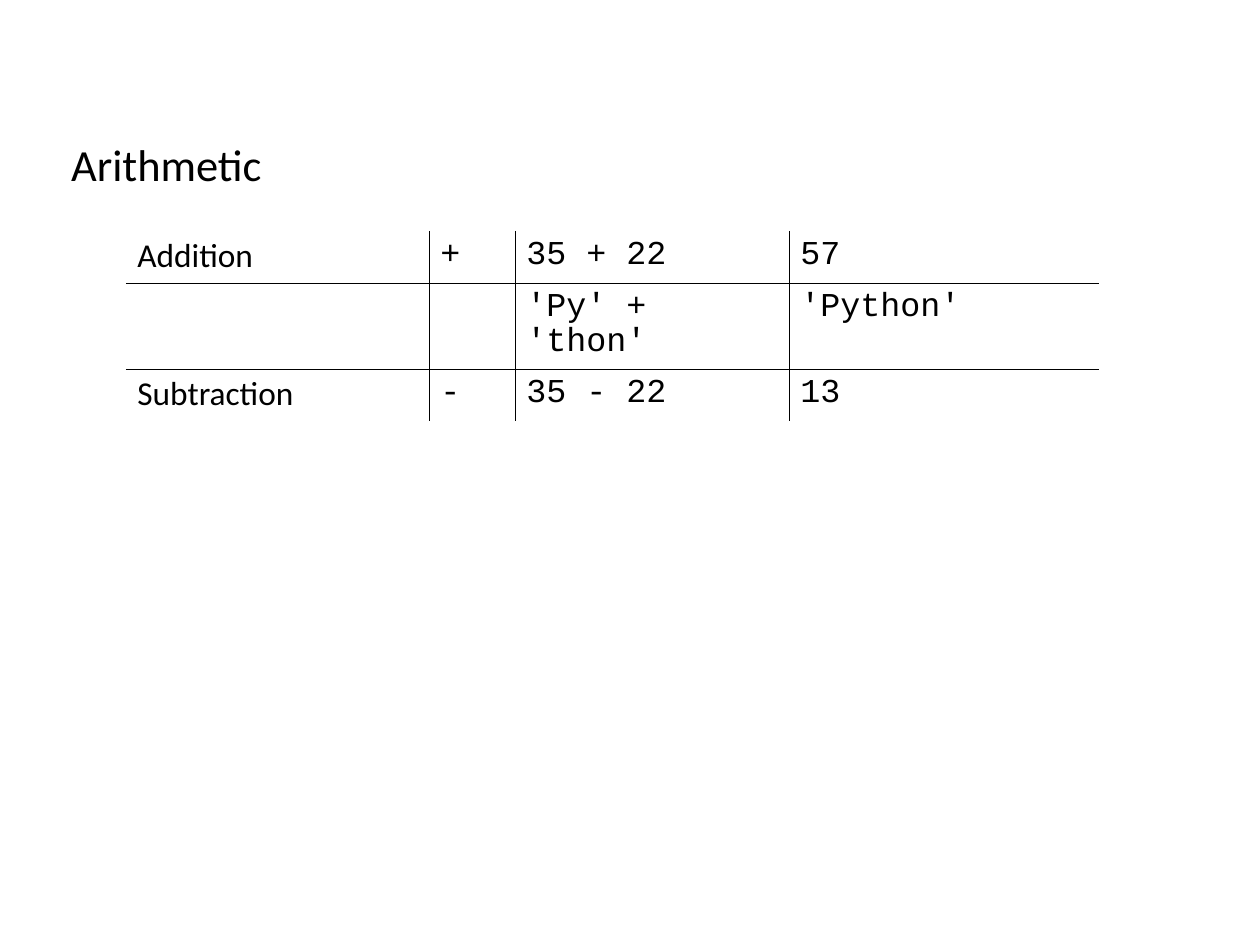
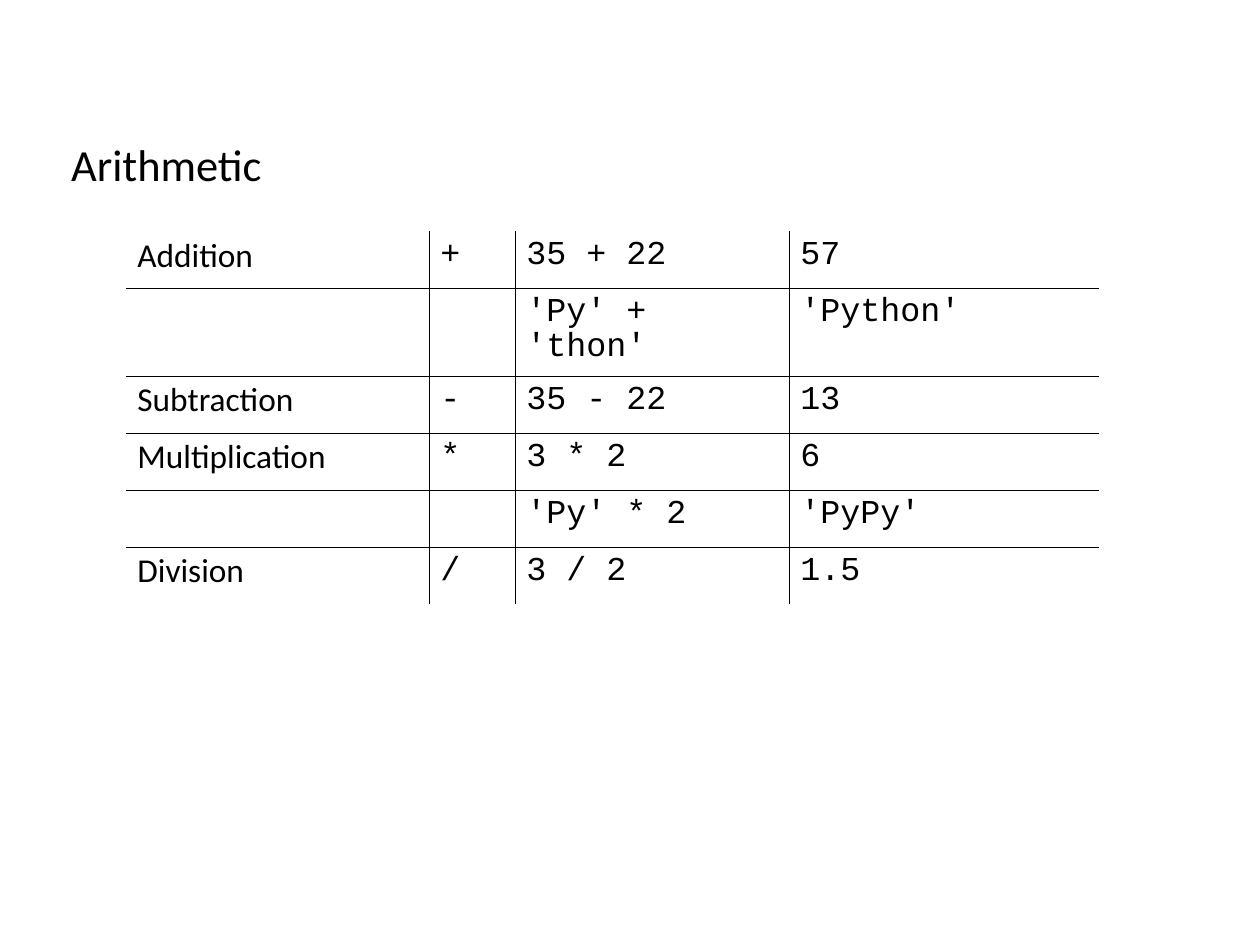
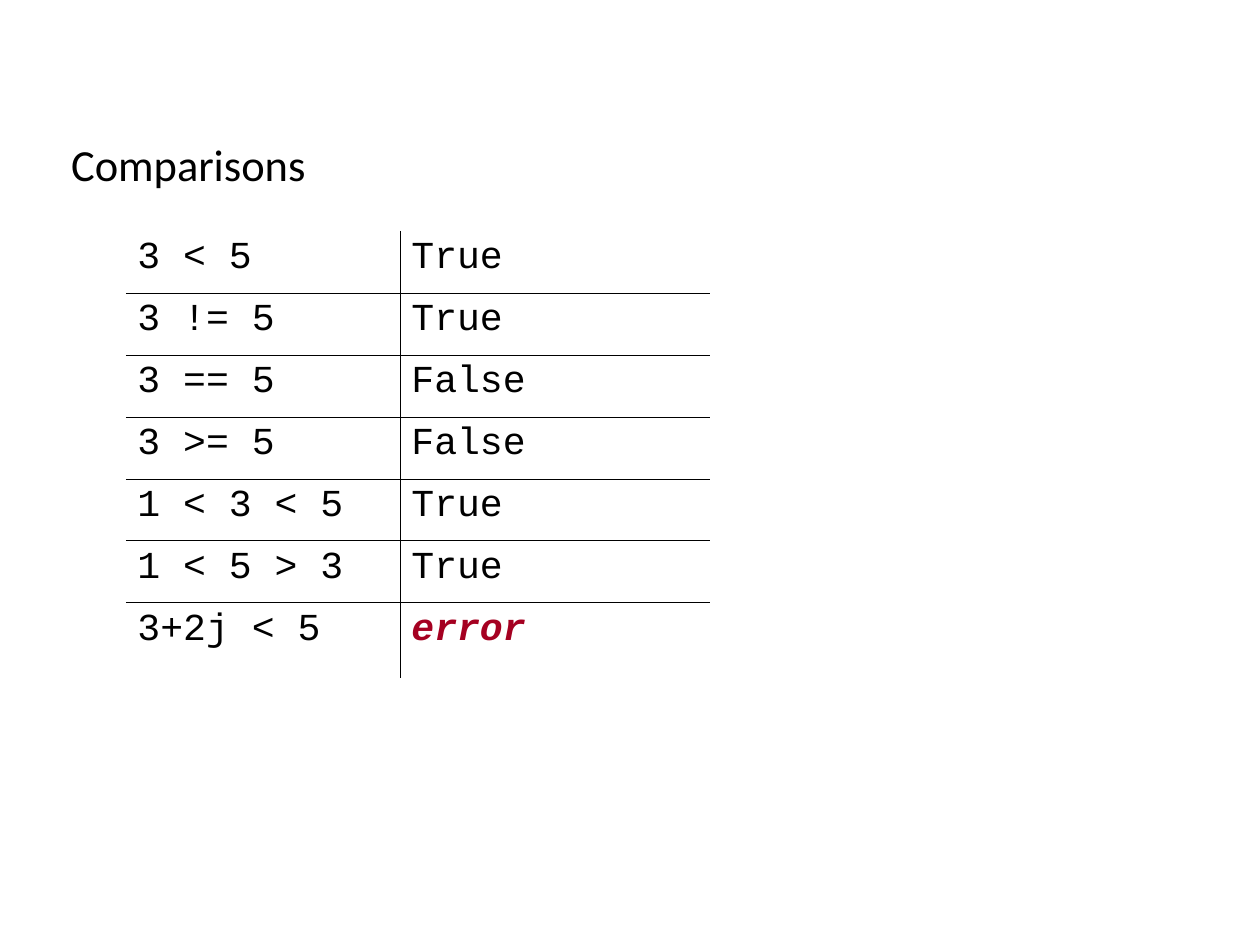
from dataclasses import dataclass

from lxml import etree
from pptx import Presentation
from pptx import util as u
from pptx.dml.color import RGBColor
from pptx.oxml.ns import qn

EMU_PER_PX = 8000


# Shared look
@dataclass(frozen=True)
class Theme:
    ink: str = "000000"
    alert: str = "A50021"
    prose: str = "Calibri"
    code: str = "Courier New"
    title_size: int = 28
    arithmetic_size: int = 21
    comparison_size: int = 24
    rule_width: float = 0.45
    line_spacing: float = 0.93
    title_spacing: float = 1.5
    space_after: float = 14.3


THEME = Theme()
TABLE_LEFT, TABLE_TOP = 126, 231

# Content
ARITHMETIC = [
    ("Addition", "+", "35 + 22", "57"),
    ("", "", "'Py' + 'thon'", "'Python'"),
    ("Subtraction", "-", "35 - 22", "13"),
    ("Multiplication", "*", "3 * 2", "6"),
    ("", "", "'Py' * 2", "'PyPy'"),
    ("Division", "/", "3 / 2", "1.5"),
]
ARITHMETIC_WIDTHS = [303, 86, 274, 310]
COMPARISONS = [
    ("3 < 5", "True"),
    ("3 != 5", "True"),
    ("3 == 5", "False"),
    ("3 >= 5", "False"),
    ("1 < 3 < 5", "True"),
    ("1 < 5 > 3", "True"),
    ("3+2j < 5", "error"),
]


def px(length):
    return u.Emu(length * EMU_PER_PX)


def style_font(font, name, size, colour=THEME.ink):
    font.name = name
    font.size = u.Pt(size)
    font.color.rgb = RGBColor.from_string(colour)


# Slide with its title
def add_titled_slide(presentation, title):
    slide = presentation.slides.add_slide(presentation.slide_layouts[6])
    box = slide.shapes.add_textbox(px(60), px(105), px(371), px(91))
    box.text_frame.word_wrap = True
    paragraph = box.text_frame.paragraphs[0]
    paragraph.text = title
    paragraph.line_spacing = THEME.title_spacing
    style_font(paragraph.font, THEME.prose, THEME.title_size)
    return slide


# Cell borders: a thin rule, or none on the outer edge
def add_border(cell, side, visible):
    properties = cell._tc.get_or_add_tcPr()
    line = etree.SubElement(properties, qn(f"a:ln{side}"))
    if visible:
        line.set("w", str(u.Pt(THEME.rule_width)))
        fill = etree.SubElement(line, qn("a:solidFill"))
        etree.SubElement(fill, qn("a:srgbClr"), val=THEME.ink)
    else:
        etree.SubElement(line, qn("a:noFill"))


def fill_cell(cell, content, font_name, size):
    paragraph = cell.text_frame.paragraphs[0]
    paragraph.text = content
    paragraph.line_spacing = THEME.line_spacing
    paragraph.space_after = u.Pt(THEME.space_after)
    is_error = content == "error"
    style_font(paragraph.font, font_name, size,
               THEME.alert if is_error else THEME.ink)
    if is_error:
        paragraph.font.bold = paragraph.font.italic = True


# Table with inner rules only
def add_ruled_table(slide, rows, widths, heights, size, prose_columns=0):
    frame = slide.shapes.add_table(
        len(rows), len(widths), px(TABLE_LEFT), px(TABLE_TOP),
        px(sum(widths)), px(sum(heights)))
    table = frame.table
    table.first_row = table.horz_banding = False
    for column, width in zip(table.columns, widths):
        column.width = px(width)
    for row, height in zip(table.rows, heights):
        row.height = px(height)

    last_row, last_column = len(rows) - 1, len(widths) - 1
    for i, row in enumerate(rows):
        for j, content in enumerate(row):
            cell = table.cell(i, j)
            add_border(cell, "L", j > 0)
            add_border(cell, "R", j < last_column)
            add_border(cell, "T", i > 0)
            add_border(cell, "B", i < last_row)
            cell.fill.background()
            if content:
                font_name = THEME.prose if j < prose_columns else THEME.code
                fill_cell(cell, content, font_name, size)


def add_arithmetic_slide(presentation, rows, heights):
    slide = add_titled_slide(presentation, "Arithmetic")
    add_ruled_table(slide, rows, ARITHMETIC_WIDTHS, heights,
                    THEME.arithmetic_size, prose_columns=1)


def add_comparisons_slide(presentation):
    slide = add_titled_slide(presentation, "Comparisons")
    add_ruled_table(slide, COMPARISONS, ARITHMETIC_WIDTHS[2:],
                    [62] * 6 + [75], THEME.comparison_size)


def main():
    presentation = Presentation()
    presentation.slide_width, presentation.slide_height = px(1260), px(945)
    add_arithmetic_slide(presentation, ARITHMETIC[:3], [52, 86, 52])
    add_arithmetic_slide(presentation, ARITHMETIC, [57, 88] + [57] * 4)
    add_comparisons_slide(presentation)
    presentation.save("out.pptx")


if __name__ == "__main__":
    main()
